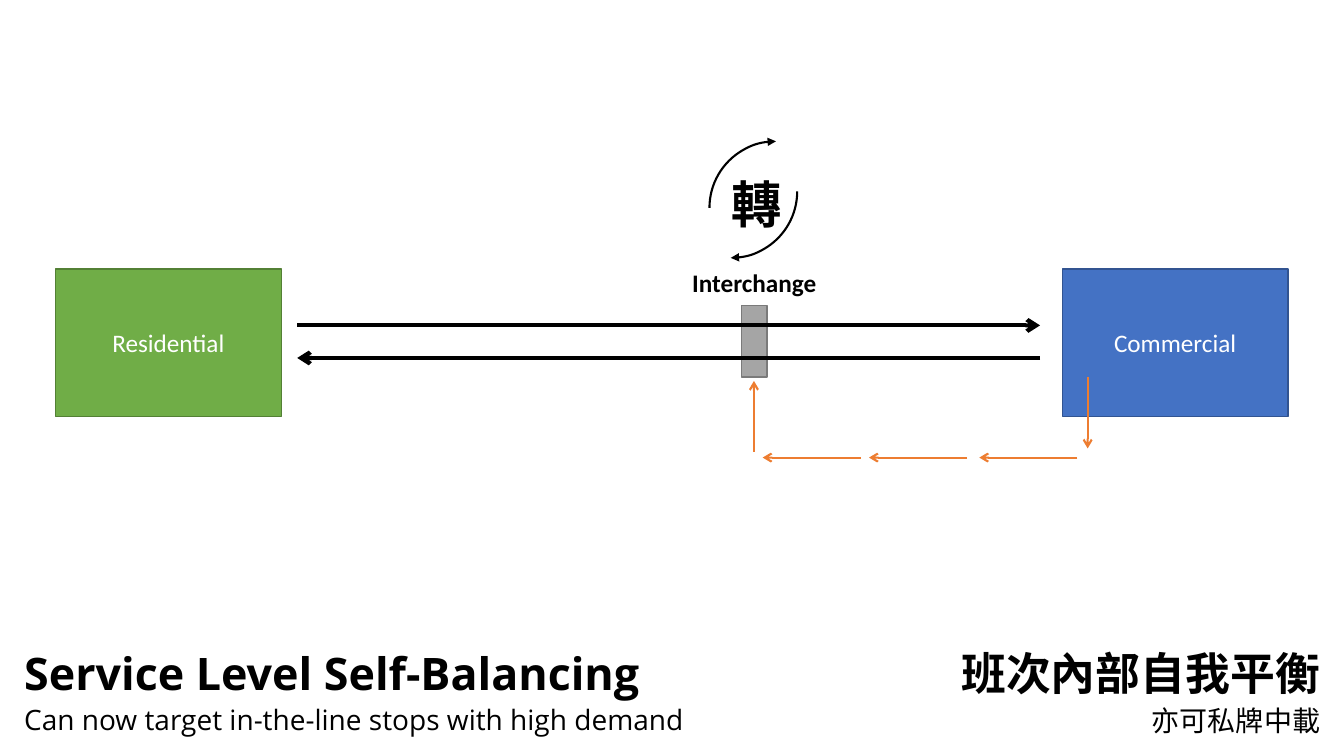
from dataclasses import dataclass
from lxml.etree import SubElement
from pptx import Presentation
from pptx.dml.color import RGBColor
from pptx.enum.shapes import MSO_CONNECTOR, MSO_SHAPE
from pptx.enum.text import MSO_ANCHOR, MSO_AUTO_SIZE, PP_ALIGN
from pptx.oxml.ns import qn
from pptx.util import Cm, Pt


@dataclass(frozen=True)
class Theme:
    """Colours, fonts and type sizes of the slide."""
    black: str = "000000"
    white: str = "FFFFFF"
    green: str = "70AD47"
    moss: str = "538035"
    blue: str = "4472C4"
    navy: str = "325491"
    gray: str = "A5A5A5"
    slate: str = "7A7A7A"
    orange: str = "ED7D31"
    body: str = "Calibri"
    head: str = "Open Sans"
    han: str = "Noto Sans CJK TC"
    title: int = 32
    note: int = 20
    label: int = 18
    turn: int = 36


T = Theme()
LEFT, MID, RIGHT = PP_ALIGN.LEFT, PP_ALIGN.CENTER, PP_ALIGN.RIGHT

# All places are in centimetres: left, top, width, height.
ZONES = [
    ("Residential", (1.4, 6.78, 5.69, 3.71), T.green, T.moss),
    ("Commercial", (26.77, 6.78, 5.69, 3.71), T.blue, T.navy),
    ("", (18.69, 7.7, 0.64, 1.8), T.gray, T.slate),
]
TEXTS = [
    ("Service Level Self-Balancing", (0.36, 16.15, 17.2, 1.63),
     T.head, T.title, True, LEFT),
    ("Can now target in-the-line stops with high demand",
     (0.36, 17.58, 17.2, 1.12), T.head, T.note, False, LEFT),
    ("班次內部自我平衡", (16.32, 16.15, 17.2, 1.63),
     T.han, T.title, True, RIGHT),
    ("亦可私牌中載", (16.32, 17.6, 17.2, 1.12),
     T.han, T.note, False, RIGHT),
    ("Interchange", (14.68, 6.6, 8.66, 1.02), T.body, T.label, True, MID),
    ("轉", (18.19, 4.24, 1.52, 1.8), T.body, T.turn, True, MID),
]
ARC = 3.35
ARCS = [(16.74, 3.15, 90), (17.88, 3.56, 270)]

WEST, EAST = 7.49, 26.21
TRACKS = [(WEST, 8.2, EAST, 8.2), (EAST, 9.02, WEST, 9.02)]
ROW, STEP = 11.53, 2.47
DETOUR = [(27.41, 9.5, 27.41, 11.3)]
DETOUR += [(x, ROW, x - STEP, ROW) for x in (27.15, 24.37, 21.69)]
DETOUR += [(19, 11.38, 19, 9.6)]


def cms(nums):
    """Turn plain numbers into lengths."""
    return [Cm(n) for n in nums]


def style(frame, font, size, color, bold, align):
    """Format every run of a text frame."""
    for para in frame.paragraphs:
        para.alignment = align
        for run in para.runs:
            run.font.name = font
            run.font.size = Pt(size)
            run.font.bold = bold
            run.font.color.rgb = RGBColor.from_string(color)
            east = SubElement(run.font._element, qn("a:ea"))
            east.set("typeface", T.han)


def ink(line, color, width):
    """Set the colour and width of a line."""
    line.color.rgb = RGBColor.from_string(color)
    line.width = Pt(width)


def tip(line, kind):
    """Put an arrowhead at the end of a line."""
    SubElement(line._get_or_add_ln(), qn("a:tailEnd")).set("type", kind)


def zone(shapes, text, place, fill, edge):
    """Draw one filled block with its centred label."""
    box = shapes.add_shape(MSO_SHAPE.RECTANGLE, *cms(place))
    box.shadow.inherit = False
    box.fill.solid()
    box.fill.fore_color.rgb = RGBColor.from_string(fill)
    ink(box.line, edge, 1)
    if text:
        frame = box.text_frame
        frame.text = text
        frame.vertical_anchor = MSO_ANCHOR.MIDDLE
        style(frame, T.body, T.label, T.white, False, MID)


def write(shapes, text, place, font, size, bold, align):
    """Add one wrapped line of text."""
    frame = shapes.add_textbox(*cms(place)).text_frame
    frame.word_wrap = True
    frame.auto_size = MSO_AUTO_SIZE.SHAPE_TO_FIT_TEXT
    frame.text = text
    style(frame, font, size, T.black, bold, align)


def curve(shapes, left, top, turn):
    """Draw one quarter circle arrow."""
    arc = shapes.add_shape(MSO_SHAPE.ARC, *cms((left, top, ARC, ARC)))
    arc.rotation = turn
    arc.shadow.inherit = False
    arc.fill.background()
    ink(arc.line, T.black, 1.5)
    tip(arc.line, "triangle")


def arrow(shapes, ends, color, width):
    """Draw one straight arrow."""
    link = shapes.add_connector(MSO_CONNECTOR.STRAIGHT, *cms(ends))
    ink(link.line, color, width)
    tip(link.line, "arrow")
    SubElement(link._element.spPr, qn("a:effectLst"))


def main():
    """Build and save the slide."""
    deck = Presentation()
    deck.slide_width, deck.slide_height = cms((33.87, 19.05))
    shapes = deck.slides.add_slide(deck.slide_layouts[6]).shapes
    for row in ZONES:
        zone(shapes, *row)
    for row in TEXTS:
        write(shapes, *row)
    for row in ARCS:
        curve(shapes, *row)
    for ends in TRACKS:
        arrow(shapes, ends, T.black, 3)
    for ends in DETOUR:
        arrow(shapes, ends, T.orange, 1.5)
    deck.save("out.pptx")


main()
